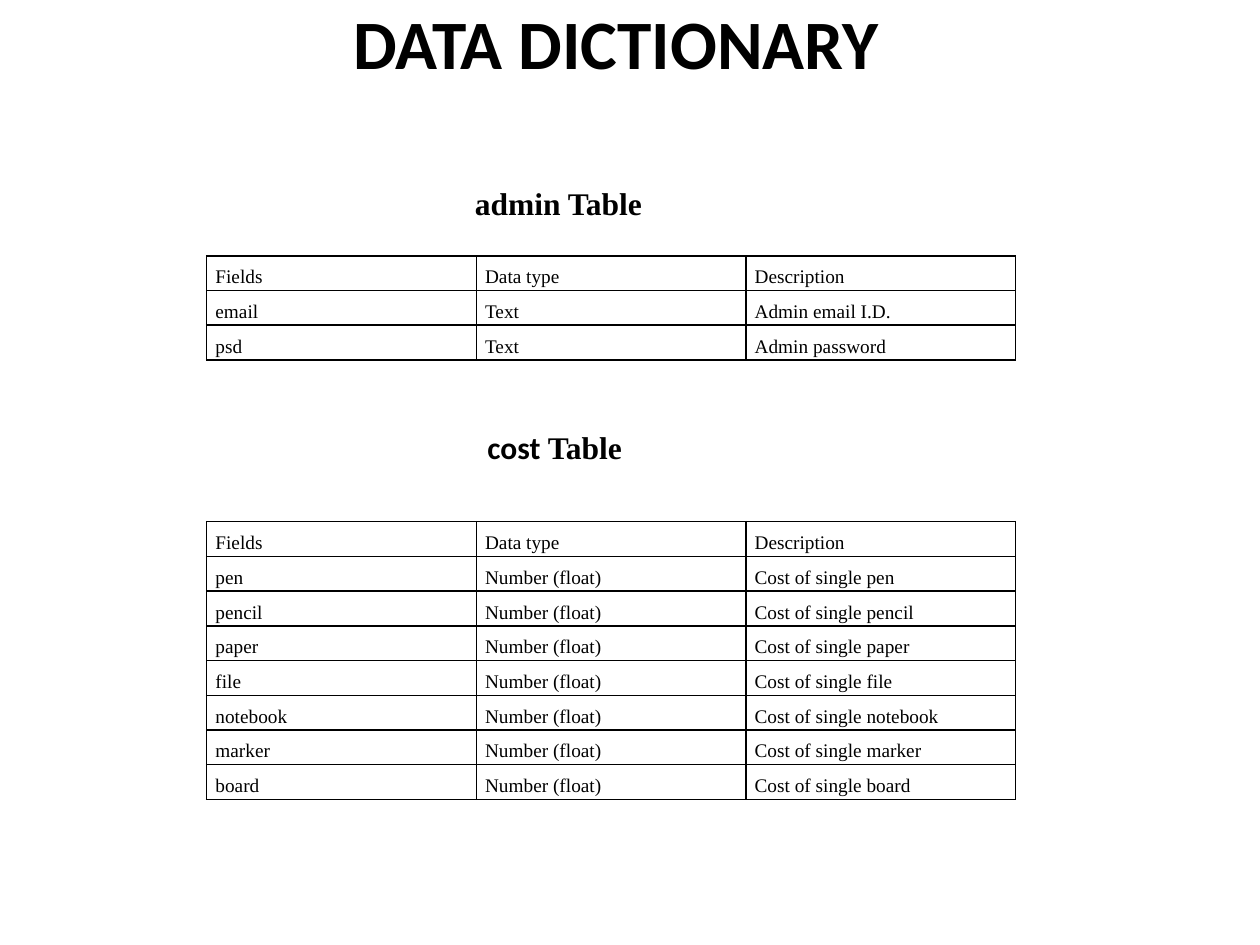
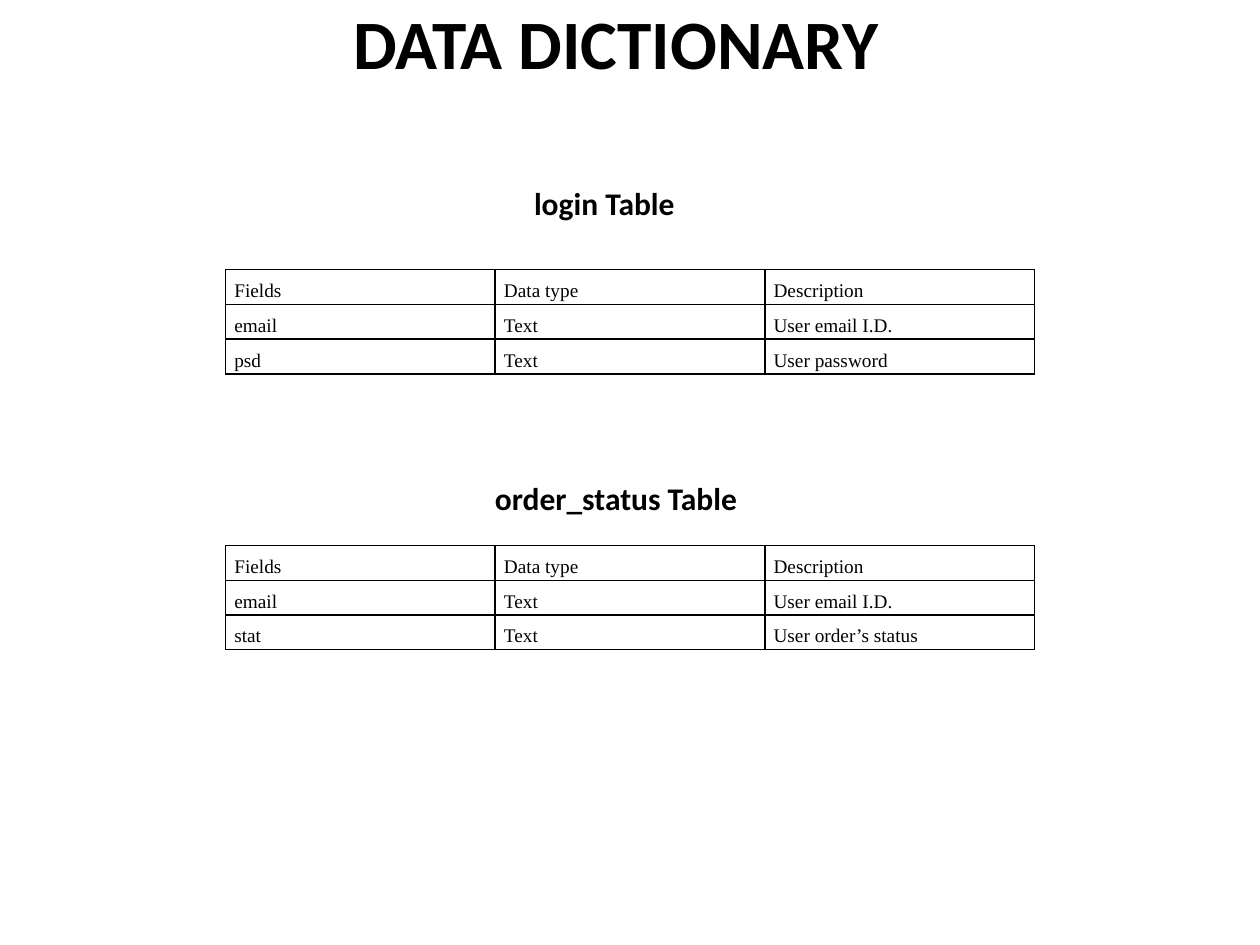
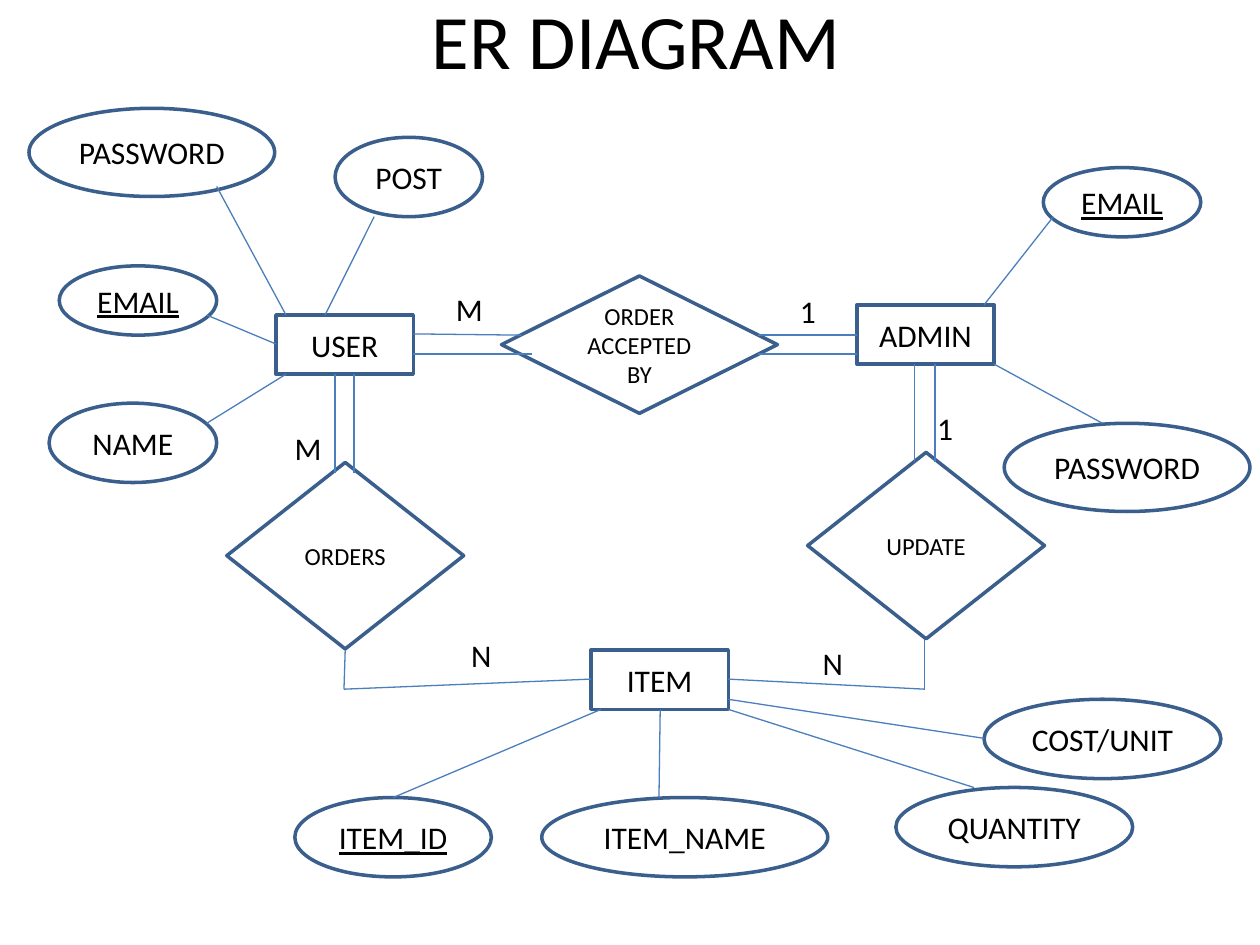
import pptx
import pptx.util
import pptx.dml.color
import pptx.enum.shapes
import pptx.enum.text
import pptx.oxml
import pptx.oxml.ns

Inches = pptx.util.Inches
Pt = pptx.util.Pt
RGBColor = pptx.dml.color.RGBColor
SHAPE = pptx.enum.shapes.MSO_SHAPE
ALIGN = pptx.enum.text.PP_ALIGN
ANCHOR = pptx.enum.text.MSO_ANCHOR

BLACK = RGBColor(0x00, 0x00, 0x00)
WHITE = RGBColor(0xFF, 0xFF, 0xFF)
EDGE = RGBColor(0x3A, 0x5F, 0x8C)
LINK = RGBColor(0x4B, 0x7E, 0xBC)

SANS = "Calibri"
SERIF = "Times New Roman"

MAIN = {"name": SANS, "size": Pt(39.6), "bold": True}
PLAIN = {"name": SANS, "size": Pt(44)}
HEAD = {"name": SANS, "size": Pt(18), "bold": True}
HEAD_SERIF = {**HEAD, "name": SERIF}
CELL = {"name": SERIF, "size": Pt(11)}
NODE = {"name": SANS, "size": Pt(18)}
KEY = {**NODE, "underline": True}
SMALL = {"name": SANS, "size": Pt(14)}

TOP = ("Fields", "Data type", "Description")
GOODS = ("pen", "pencil", "paper", "file", "notebook", "marker", "board")


def write(para, text, form):
    """Add one black run in the given format."""
    run = para.add_run()
    run.text = text
    for name, value in form.items():
        setattr(run.font, name, value)
    run.font.color.rgb = BLACK


def add_text(slide, box, runs):
    """Place an unwrapped line of (text, format) runs; return its frame."""
    frame = slide.shapes.add_textbox(*map(Inches, box)).text_frame
    frame.word_wrap = False
    for text, form in runs:
        write(frame.paragraphs[0], text, form)
    return frame


def add_title(slide, box, text, form, anchor):
    """Place a centred slide title."""
    frame = add_text(slide, box, [(text, form)])
    frame.word_wrap = True
    frame.vertical_anchor = anchor
    frame.margin_top = frame.margin_bottom = 0
    frame.paragraphs[0].alignment = ALIGN.CENTER


def add_edges(cell):
    """Draw a black one-point border on all sides of a cell."""
    props = cell._tc.get_or_add_tcPr()
    for side in ("lnL", "lnR", "lnT", "lnB"):
        props.append(pptx.oxml.parse_xml(
            f'<a:{side} {pptx.oxml.ns.nsdecls("a")} w="{Pt(1)}"><a:solidFill>'
            f'<a:srgbClr val="{BLACK}"/></a:solidFill></a:{side}>'))


def add_grid(slide, box, height, rows):
    """Place a bordered table with a row of field titles on top."""
    rows = [TOP, *rows]
    table = slide.shapes.add_table(len(rows), len(TOP), *map(Inches, box)).table
    table.first_row = table.horz_banding = False
    look = {"margin_left": Inches(0.07), "margin_right": Inches(0.07),
            "margin_top": 0, "margin_bottom": 0}
    for line, texts in zip(table.rows, rows):
        line.height = Inches(height)
        for cell, text in zip(line.cells, texts):
            for name, value in look.items():
                setattr(cell, name, value)
            add_edges(cell)
            cell.fill.solid()
            cell.fill.fore_color.rgb = WHITE
            para = cell.text_frame.paragraphs[0]
            para.line_spacing = 1.5
            write(para, text, CELL)


def add_node(slide, kind, box, text, form):
    """Place one outlined diagram shape with centred text."""
    shape = slide.shapes.add_shape(kind, *map(Inches, box))
    shape.shadow.inherit = False
    shape.fill.solid()
    shape.fill.fore_color.rgb = WHITE
    shape.line.color.rgb = EDGE
    shape.line.width = Pt(2)
    frame = shape.text_frame
    frame.word_wrap = True
    frame.vertical_anchor = ANCHOR.MIDDLE
    frame.paragraphs[0].alignment = ALIGN.CENTER
    write(frame.paragraphs[0], text, form)


def add_link(slide, ends):
    """Draw a thin straight line between two points."""
    line = slide.shapes.add_connector(
        pptx.enum.shapes.MSO_CONNECTOR.STRAIGHT, *map(Inches, ends))
    line.line.color.rgb = LINK
    line.line.width = Pt(0.75)
    props = line._element.spPr
    props.append(props.makeelement(pptx.oxml.ns.qn("a:effectLst"), {}))


def dict_slide(deck, parts):
    """Build a data dictionary slide from (head box, runs, grid box, height, rows)."""
    slide = deck.slides.add_slide(deck.slide_layouts[6])
    add_title(slide, (0.39, 0, 9, 1.25), "DATA DICTIONARY", MAIN, ANCHOR.TOP)
    for spot, runs, box, height, rows in parts:
        add_grid(slide, box, height, rows)
        add_text(slide, spot, runs)


# Each diagram part: left, top, (width, height), text, format
BOX, GEM = (1.09, 0.47), (1.88, 1.48)
WIDE, SLIM, MID = (1.95, 0.7), (1.25, 0.55), (1.88, 0.63)
NODES = {
    SHAPE.RECTANGLE: [
        (2.19, 2.5, BOX, "USER", NODE),
        (6.8, 2.42, BOX, "ADMIN", NODE),
        (4.69, 5.16, BOX, "ITEM", NODE)],
    SHAPE.OVAL: [
        (0.23, 0.86, WIDE, "PASSWORD", NODE),
        (0.39, 3.2, (1.33, 0.63), "NAME", NODE),
        (0.47, 2.11, SLIM, "EMAIL", KEY),
        (2.66, 1.09, (1.17, 0.63), "POST", NODE),
        (2.34, 6.33, (1.56, 0.63), "ITEM_ID", KEY),
        (8.28, 1.33, SLIM, "EMAIL", KEY),
        (7.97, 3.36, WIDE, "PASSWORD", NODE),
        (4.3, 6.33, (2.27, 0.63), "ITEM_NAME", NODE),
        (7.11, 6.25, MID, "QUANTITY", NODE),
        (7.81, 5.55, MID, "COST/UNIT", NODE)],
    SHAPE.DIAMOND: [
        (1.8, 3.67, GEM, "ORDERS", SMALL),
        (6.41, 3.59, GEM, "UPDATE", SMALL),
        (3.98, 2.19, (2.19, 1.09), "ORDER ACCEPTED BY", SMALL)],
}
LINKS = [
    # user fields
    (1.72, 1.48, 2.27, 2.5), (1.64, 2.5, 2.19, 2.73),
    (1.64, 3.36, 2.27, 2.97), (2.97, 1.72, 2.58, 2.5),
    # admin fields
    (8.36, 1.72, 7.81, 2.42), (7.89, 2.89, 8.75, 3.36),
    # item fields
    (4.77, 5.63, 3.12, 6.33), (5.24, 5.63, 5.23, 6.33),
    (5.78, 5.63, 7.73, 6.25), (5.78, 5.55, 7.81, 5.86),
    # double lines to the relations
    (2.66, 3.75, 2.66, 2.97), (2.81, 2.97, 2.81, 3.75),
    (3.28, 2.65, 4.14, 2.66), (4.22, 2.81, 3.28, 2.81),
    (6.02, 2.66, 6.8, 2.66), (6.02, 2.81, 6.8, 2.81),
    (7.26, 3.67, 7.26, 2.89), (7.42, 2.89, 7.42, 3.67),
    # bent lines to the item
    (2.74, 5.16, 2.73, 5.47), (2.73, 5.47, 4.69, 5.39),
    (5.78, 5.39, 7.34, 5.47), (7.34, 5.08, 7.34, 5.47),
]
MARKS = [
    (3.52, 2.25, 0.42, "M"), (6.25, 2.27, 0.33, "1"),
    (2.24, 3.36, 0.42, "M"), (7.34, 3.2, 0.33, "1"),
    (3.64, 5, 0.36, "N"), (6.43, 5.06, 0.36, "N"),
]


def add_chart(slide, left, top):
    """Draw the entity diagram from the given corner."""
    for kind, nodes in NODES.items():
        for x, y, size, text, form in nodes:
            add_node(slide, kind, (left + x, top + y, *size), text, form)
    for x, y, end, low in LINKS:
        add_link(slide, (left + x, top + y, left + end, top + low))
    for x, y, width, text in MARKS:
        add_text(slide, (left + x, top + y, width, 0.4), [(text, NODE)])


def chart_slide(deck):
    """Build the entity diagram slide."""
    slide = deck.slides.add_slide(deck.slide_layouts[6])
    add_title(slide, (0.55, -0.16, 9, 0.94), "ER DIAGRAM", PLAIN, ANCHOR.MIDDLE)
    add_chart(slide, 0, 0)


def main():
    """Build and save the deck."""
    deck = pptx.Presentation()
    deck.slide_width, deck.slide_height = Inches(10), Inches(7.5)
    dict_slide(deck, [
        ((3.67, 1.41, 1.54, 0.4), [("admin Table", HEAD_SERIF)],
         (1.64, 2.03, 6.42, 0.82), 0.25,
         [("email", "Text", "Admin email I.D."),
          ("psd", "Text", "Admin password")]),
        ((3.77, 3.35, 1.28, 0.4), [("cost", HEAD), (" Table", HEAD_SERIF)],
         (1.64, 4.14, 6.42, 2.2), 2.2 / (len(GOODS) + 1),
         [(item, "Number (float)", f"Cost of single {item}") for item in GOODS]),
    ])
    dict_slide(deck, [
        ((4.14, 1.41, 1.32, 0.71), [("login Table", HEAD)],
         (1.79, 2.14, 6.42, 0.82), 0.25,
         [("email", "Text", "User email I.D."),
          ("psd", "Text", "User password")]),
        ((3.83, 3.75, 2.14, 0.71), [("order_status Table", HEAD)],
         (1.79, 4.33, 6.42, 0.82), 0.25,
         [("email", "Text", "User email I.D."),
          ("stat", "Text", "User order’s status")]),
    ])
    chart_slide(deck)
    deck.save("out.pptx")


main()
